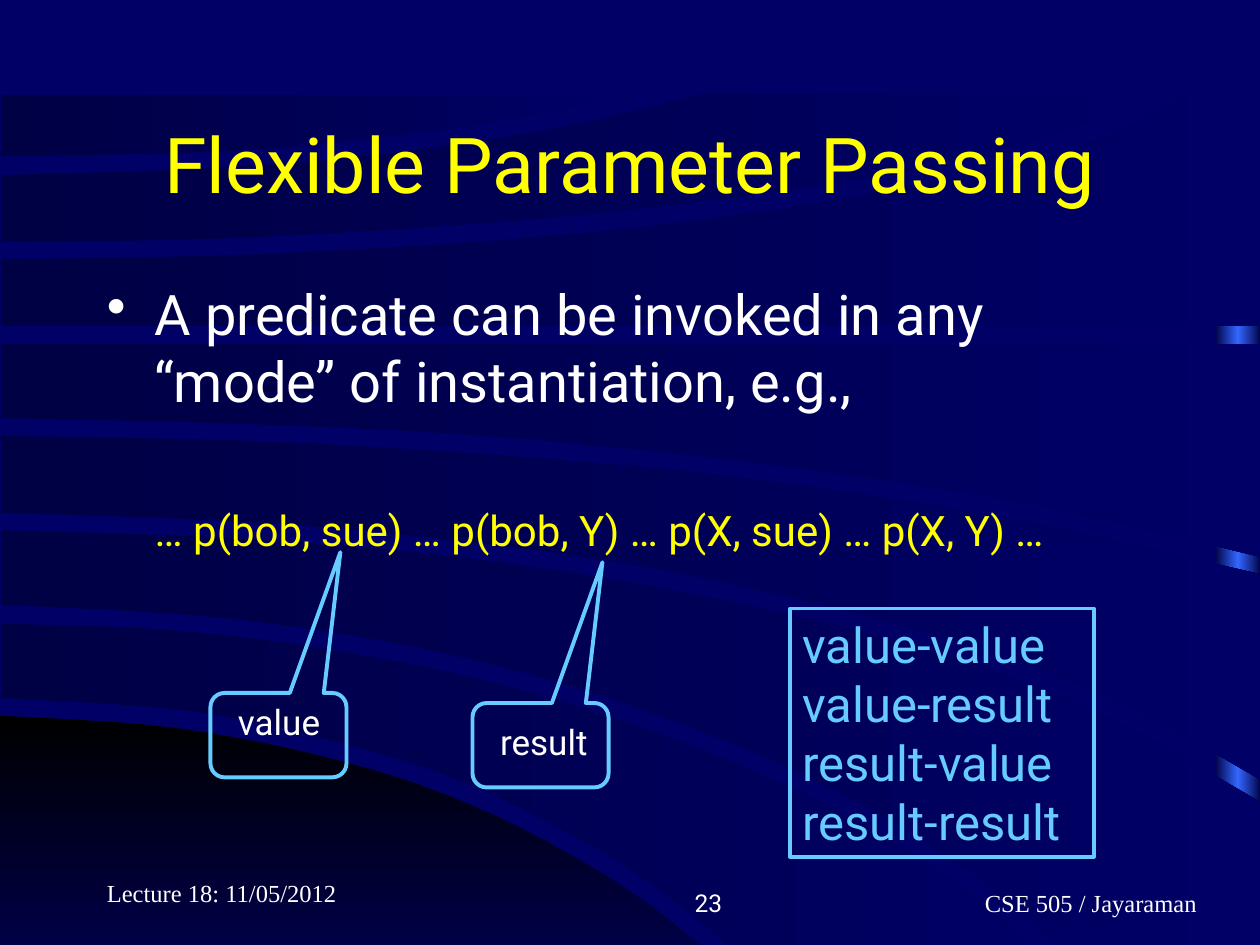
from dataclasses import dataclass

from lxml.etree import SubElement
from pptx import Presentation
from pptx.dml.color import RGBColor
from pptx.enum.shapes import MSO_SHAPE
from pptx.enum.text import MSO_ANCHOR, MSO_AUTO_SIZE, PP_ALIGN
from pptx.oxml.ns import qn
from pptx.util import Inches, Pt


@dataclass(frozen=True)
class Theme:
    ground: str = "000066"
    deep: str = "000044"
    black: str = "000000"
    glow: str = "3366FF"
    white: str = "FFFFFF"
    yellow: str = "FFFF00"
    sky: str = "66CCFF"
    sans: str = "Roboto"
    serif: str = "Times New Roman"
    title: int = 44
    body: int = 32
    modes: int = 28
    code: int = 24
    label: int = 20
    footer: int = 14
    line: float = 2.25


T = Theme()

CORNER = [
    [(0, 5.68), (1.4, 5.78), (2.77, 6.06), (3.87, 6.45), (4.96, 7.05), (5.78, 7.71), (6.29, 8.27)],
    [(0, 8.27)],
]
BANDS = [
    [[(0.01, 4.95), (1.31, 5), (2.5, 5.14), (3.83, 5.4), (5.16, 5.8), (6.45, 6.34), (7.67, 7.07), (8.94, 8.25)],
     [(6.43, 8.25), (5.83, 7.55), (4.93, 6.85), (3.77, 6.24), (2.69, 5.89), (1.49, 5.64), (0.01, 5.54)]],
    [[(0.01, 4.21), (1.96, 4.28), (3.85, 4.45), (5.71, 4.76), (7.39, 5.17), (8.74, 5.67), (10.01, 6.37)],
     [(10.01, 8.25)],
     [(9.1, 8.25), (8.11, 7.23), (6.79, 6.35), (5.22, 5.67), (3.61, 5.2), (1.84, 4.91), (0.01, 4.8)]],
    [[(0.01, 3.46), (2.2, 3.51), (4.39, 3.65), (6.17, 3.83), (8.17, 4.15), (10.01, 4.56)],
     [(10.01, 6.19), (8.82, 5.54), (7.44, 5.04), (5.61, 4.59), (4.07, 4.34), (2.12, 4.15), (0.01, 4.07)]],
    [[(0.01, 2.73)],
     [(10.01, 2.73)],
     [(10.01, 4.42), (8.14, 3.99), (6.08, 3.68), (3.9, 3.46), (1.87, 3.36), (0.01, 3.32)]],
    [[(0.01, 2.06), (2.04, 2.02), (4.21, 1.89), (5.98, 1.69), (7.72, 1.39), (8.64, 1.14), (9.44, 0.75)],
     [(10.01, 0.75)],
     [(10.01, 2.59)],
     [(0.01, 2.59)]],
    [[(0.01, 1.39), (1.61, 1.34), (3.09, 1.22), (4.46, 1.01), (5.57, 0.75)],
     [(9.18, 0.75), (8.31, 1.08), (7.16, 1.36), (5.46, 1.61), (3.82, 1.77), (1.78, 1.89), (0.01, 1.92)]],
    [[(0.01, 0.75)],
     [(5.02, 0.75), (4.01, 0.95), (2.9, 1.1), (1.74, 1.2), (0.01, 1.24)]],
]


def rgb(color):
    return RGBColor.from_string(color)


def box(x, y, w, h):
    return Inches(x), Inches(y), Inches(w), Inches(h)


def write(p, text, *, size, color=T.white, font=T.sans, align=PP_ALIGN.LEFT, before=0):
    p.alignment = align
    p.space_before = Pt(before)
    r = p.add_run()
    r.text = text
    r.font.size = Pt(size)
    r.font.name = font
    r.font.color.rgb = rgb(color)


def indent(p, left, bullet=None):
    pPr = p._p.get_or_add_pPr()
    pPr.set("marL", str(Inches(left)))
    pPr.set("indent", str(-Inches(left) if bullet else 0))
    if bullet:
        clr = SubElement(pPr, qn("a:buClr"))
        SubElement(clr, qn("a:srgbClr"), val=T.white)
        SubElement(pPr, qn("a:buChar"), char=bullet)


def add_text(s, at, text, *, anchor=MSO_ANCHOR.TOP, inset_right=0.1, **fmt):
    tf = s.shapes.add_textbox(*box(*at)).text_frame
    tf.word_wrap = True
    tf.vertical_anchor = anchor
    tf.margin_right = Inches(inset_right)
    write(tf.paragraphs[0], text, **fmt)
    return tf


def fill_gradient(sp, colors, angle=0):
    sp.shadow.inherit = False
    sp.line.fill.background()
    sp.fill.gradient()
    sp.fill.gradient_angle = -angle % 360
    stops = sp._element.spPr.find(qn("a:gradFill")).find(qn("a:gsLst"))
    for stop in list(stops):
        stops.remove(stop)
    for i, color in enumerate(colors):
        gs = SubElement(stops, qn("a:gs"), pos=str(i * 100000 // (len(colors) - 1)))
        SubElement(gs, qn("a:srgbClr"), val=color)


def smooth(knots, steps=6):
    padded = [knots[0], *knots, knots[-1]]
    points = [knots[0]]
    for a, b, c, d in zip(padded, padded[1:], padded[2:], padded[3:]):
        for i in range(1, steps + 1):
            t = i / steps
            points.append(tuple(
                b[k] + 0.5 * t * (c[k] - a[k]
                + t * (2 * a[k] - 5 * b[k] + 4 * c[k] - d[k])
                + t * t * (3 * (b[k] - c[k]) + d[k] - a[k]))
                for k in (0, 1)))
    return points


def add_band(s, edges, colors, angle=0):
    points = [(Inches(x), Inches(y)) for edge in edges for x, y in smooth(edge)]
    fb = s.shapes.build_freeform(*points[0])
    fb.add_line_segments(points[1:], close=True)
    fill_gradient(fb.convert_to_shape(), colors, angle)


def add_outline(s, kind, at):
    sp = s.shapes.add_shape(kind, *box(*at))
    sp.shadow.inherit = False
    sp.fill.background()
    sp.line.color.rgb = rgb(T.sky)
    sp.line.width = Pt(T.line)
    return sp


def add_callout(s, x, y, text, drop, width):
    sp = add_outline(s, MSO_SHAPE.ROUNDED_RECTANGULAR_CALLOUT, (x, y, 1.08, 0.67))
    for i, value in enumerate((0.455, -2.167, 0.167)):
        sp.adjustments[i] = value
    add_text(s, (x + 0.12, y + drop, width, 0.44), text, size=T.label)


def add_backdrop(s):
    s.background.fill.solid()
    s.background.fill.fore_color.rgb = rgb(T.ground)
    strip = s.shapes.add_shape(MSO_SHAPE.RECTANGLE, *box(9.64, 0.77, 0.37, 7.5))
    fill_gradient(strip, (T.deep, T.glow, T.deep))
    add_band(s, CORNER, (T.black, T.ground), 90)
    for edges in BANDS:
        add_band(s, edges, (T.deep, T.ground))


def add_title(s, text):
    sp = s.shapes.title
    s.shapes._spTree.append(sp._element)
    sp.left, sp.top, sp.width, sp.height = box(0.75, 0.67, 8.5, 1.25)
    tf = sp.text_frame
    tf.auto_size = MSO_AUTO_SIZE.NONE
    tf.vertical_anchor = MSO_ANCHOR.MIDDLE
    write(tf.paragraphs[0], text, size=T.title, color=T.yellow, align=PP_ALIGN.CENTER)


def add_body(s):
    tf = add_text(s, (0.75, 2.17, 8.5, 4.5),
                  "A predicate can be invoked in any “mode” of instantiation, e.g.,",
                  size=T.body, before=8)
    indent(tf.paragraphs[0], 0.38, "•")
    p = tf.add_paragraph()
    write(p, "… p(bob, sue) … p(bob, Y) … p(X, sue) … p(X, Y) …",
          size=T.code, color=T.yellow, before=51.5)
    indent(p, 0.38)


def add_modes(s):
    tf = add_outline(s, MSO_SHAPE.RECTANGLE, (6.27, 4.83, 2.41, 1.97)).text_frame
    tf.vertical_anchor = MSO_ANCHOR.TOP
    for i, mode in enumerate(("value-value", "value-result", "result-value", "result-result")):
        p = tf.add_paragraph() if i else tf.paragraphs[0]
        write(p, mode, size=T.modes, color=T.sky)


def add_footers(s):
    fmt = dict(anchor=MSO_ANCHOR.BOTTOM, size=T.footer)
    add_text(s, (0.75, 6.75, 2.08, 0.5), "Lecture 18: 11/05/2012", font=T.serif, **fmt)
    add_text(s, (3.75, 6.83, 2.08, 0.5), "23", align=PP_ALIGN.RIGHT, **fmt)
    add_text(s, (6.58, 6.83, 3.17, 0.5), "CSE 505 / Jayaraman", font=T.serif,
             align=PP_ALIGN.RIGHT, inset_right=0.25, **fmt)


def main():
    prs = Presentation()
    prs.slide_width, prs.slide_height = Inches(10), Inches(7.5)
    s = prs.slides.add_slide(prs.slide_layouts[5])
    add_backdrop(s)
    add_title(s, "Flexible Parameter Passing")
    add_body(s)
    add_callout(s, 1.67, 5.5, "value", 0.01, 0.9)
    add_callout(s, 3.75, 5.58, "result", 0.09, 0.95)
    add_modes(s)
    add_footers(s)
    prs.save("out.pptx")


if __name__ == "__main__":
    main()
